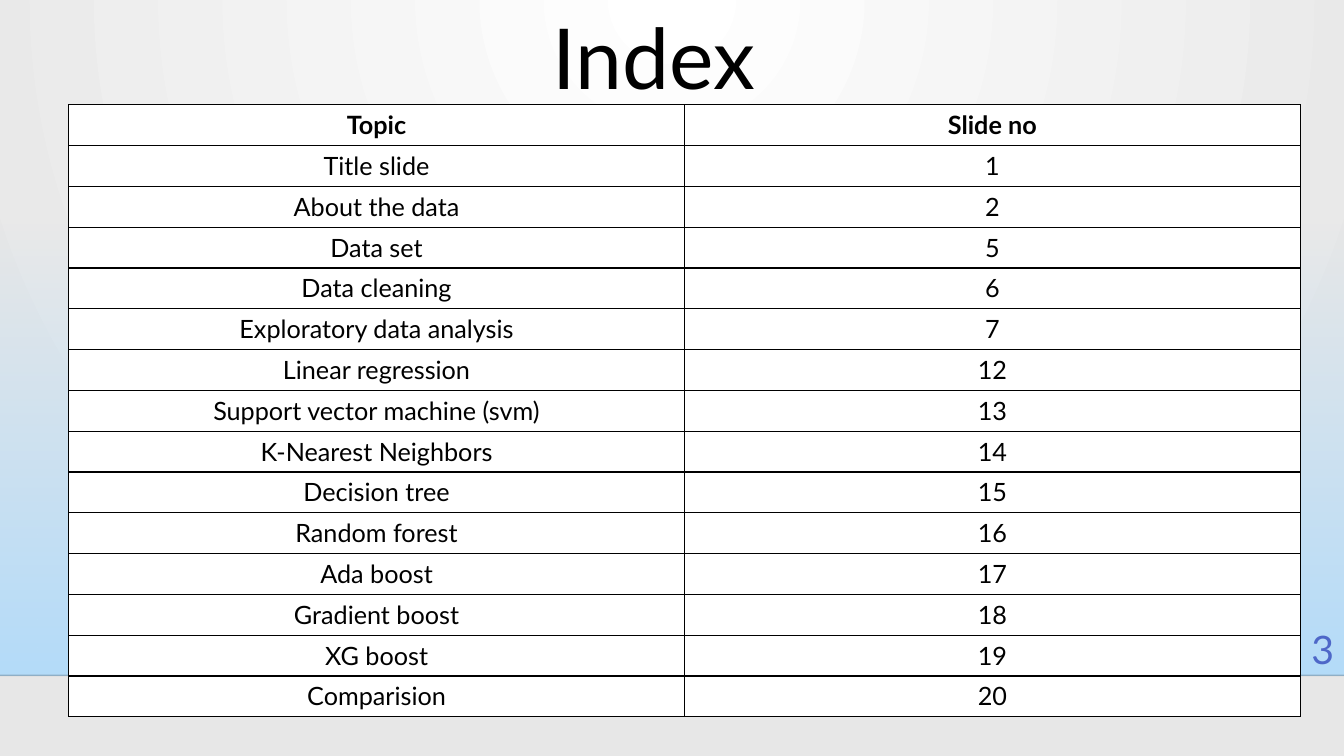
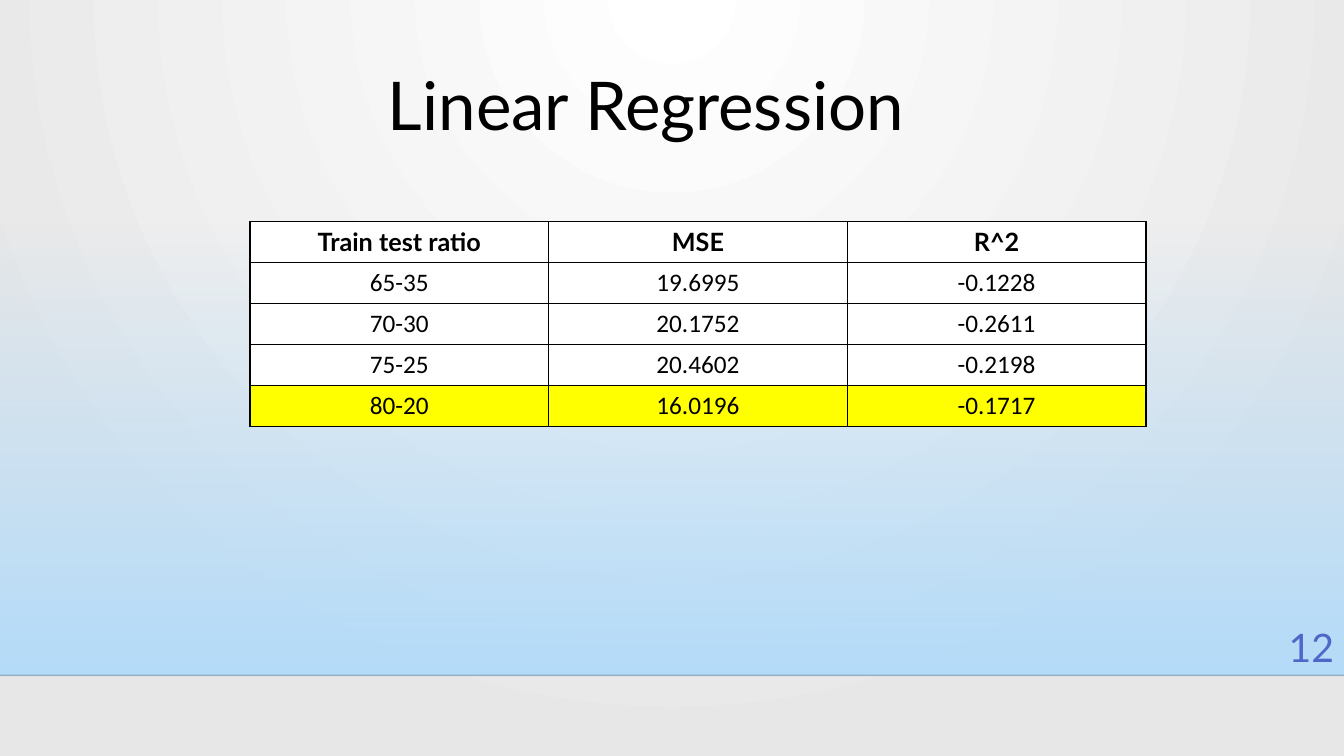
import dataclasses

import pptx
import pptx.dml.color
import pptx.enum.shapes
import pptx.enum.text
import pptx.oxml.ns
import pptx.util
from lxml import etree

Cm = pptx.util.Cm
Pt = pptx.util.Pt
qn = pptx.oxml.ns.qn
Align = pptx.enum.text.PP_ALIGN


@dataclasses.dataclass(frozen=True)
class Theme:
    ink: str = "000000"
    paper: str = "FFFFFF"
    mist: str = "E7E7E7"
    sky: str = "B4DCFA"
    edge: str = "000001"
    mark: str = "FFFF00"
    number: str = "4E67C8"
    font: str = "Lato"
    plain: str = "Calibri"
    body: int = 18
    page: int = 28
    head: int = 48
    large: int = 60
    rule: int = 1


def rgb(code):
    return pptx.dml.color.RGBColor.from_string(code)


def node(home, tag, **traits):
    return etree.SubElement(home, qn(tag), traits)


def blend(home, old, stops):
    fill = home.makeelement(qn("a:gradFill"), {"rotWithShape": "1"})
    home.replace(old, fill)
    row = node(fill, "a:gsLst")
    for place, code, alpha in stops:
        stop = node(row, "a:gs", pos=str(place * 1000))
        tint = node(stop, "a:srgbClr", val=code)
        node(tint, "a:alpha", val=str(alpha * 1000))
    return fill


class Deck:
    def __init__(self, theme):
        self.theme = theme
        self.show = pptx.Presentation()
        self.show.slide_width = Cm(33.87)
        self.show.slide_height = Cm(19.05)
        self.slide = None
        self.back()

    def back(self):
        master = self.show.slide_master
        master.background.fill.solid()
        props = master.element.find(".//" + qn("p:bgPr"))
        stops = [(0, self.theme.paper, 100), (100, self.theme.mist, 100)]
        fill = blend(props, props[0], stops)
        ring = node(fill, "a:path", path="circle")
        node(ring, "a:fillToRect", l="43000", t="0", r="43000", b="100000")

    def start(self):
        self.slide = self.show.slides.add_slide(self.show.slide_layouts[5])
        self.band()
        self.line()

    def band(self):
        kind = pptx.enum.shapes.MSO_SHAPE.RECTANGLE
        band = self.slide.shapes.add_shape(
            kind, 0, Cm(5.61), self.show.slide_width, Cm(11.41))
        band.shadow.inherit = False
        band.line.fill.background()
        band.fill.background()
        props = band.element.spPr
        stops = [(0, self.theme.sky, 0), (100, self.theme.sky, 100)]
        fill = blend(props, props.find(qn("a:noFill")), stops)
        node(fill, "a:lin", ang="5400000", scaled="0")

    def line(self):
        kind = pptx.enum.shapes.MSO_CONNECTOR.STRAIGHT
        line = self.slide.shapes.add_connector(
            kind, 0, Cm(17.02), self.show.slide_width, Cm(17.02))
        line.line.width = Pt(self.theme.rule)
        line.line.color.rgb = rgb(self.theme.edge)
        props = line.element.spPr
        node(props.find(".//" + qn("a:srgbClr")), "a:alpha", val="20000")
        node(props, "a:effectLst")

    def text(self, frame, words, size, color, align, font=None, bold=False):
        para = frame.paragraphs[0]
        para.alignment = align
        run = para.add_run()
        run.text = words
        run.font.name = font or self.theme.font
        run.font.size = Pt(size)
        run.font.bold = bold
        run.font.color.rgb = rgb(color)

    def title(self, words, top, width, height, size):
        title = self.slide.shapes.title
        title.left, title.top = 0, Cm(top)
        title.width, title.height = Cm(width), Cm(height)
        frame = title.text_frame
        frame.auto_size = pptx.enum.text.MSO_AUTO_SIZE.NONE
        frame.vertical_anchor = pptx.enum.text.MSO_ANCHOR.TOP
        self.text(frame, words, size, self.theme.ink, Align.CENTER)

    def page(self, words, top):
        box = self.slide.shapes.add_textbox(
            Cm(31.61), Cm(top), Cm(2.26), Cm(1.4))
        box.text_frame.word_wrap = True
        self.text(box.text_frame, words, self.theme.page,
                  self.theme.number, Align.RIGHT)

    def frame(self, cell):
        props = cell._tc.get_or_add_tcPr()
        for side in ("a:lnL", "a:lnR", "a:lnT", "a:lnB"):
            edge = node(props, side, w=str(Pt(self.theme.rule)))
            node(node(edge, "a:solidFill"), "a:srgbClr", val=self.theme.ink)

    def table(self, rows, left, top, width, height, font=None, marked=None):
        table = self.slide.shapes.add_table(
            len(rows), len(rows[0]), Cm(left), Cm(top),
            Cm(width), Cm(height)).table
        table.first_row = table.horz_banding = False
        for i, row in enumerate(rows):
            first = i == 0
            fill = self.theme.mark if i == marked else self.theme.paper
            for j, words in enumerate(row):
                cell = table.cell(i, j)
                self.frame(cell)
                cell.fill.solid()
                cell.fill.fore_color.rgb = rgb(fill)
                self.text(cell.text_frame, words, self.theme.body,
                          self.theme.ink, Align.CENTER,
                          None if first else font, first)


TOPICS = [
    ("Topic", "Slide no"),
    ("Title slide", "1"),
    ("About the data", "2"),
    ("Data set", "5"),
    ("Data cleaning", "6"),
    ("Exploratory data analysis", "7"),
    ("Linear regression", "12"),
    ("Support vector machine (svm)", "13"),
    ("K-Nearest Neighbors", "14"),
    ("Decision tree", "15"),
    ("Random forest", "16"),
    ("Ada boost", "17"),
    ("Gradient boost", "18"),
    ("XG boost", "19"),
    ("Comparision", "20"),
]

SCORES = [
    ("Train test ratio", "MSE", "R^2"),
    ("65-35", "19.6995", "-0.1228"),
    ("70-30", "20.1752", "-0.2611"),
    ("75-25", "20.4602", "-0.2198"),
    ("80-20", "16.0196", "-0.1717"),
]


def main():
    theme = Theme()
    deck = Deck(theme)

    deck.start()
    deck.page("3", 15.62)
    deck.title("Index", 0, 32.95, 2.82, theme.large)
    deck.table(TOPICS, 1.73, 2.64, 31.04, 15.42)

    deck.start()
    deck.title("Linear Regression", 1.47, 32.56, 2.31, theme.head)
    deck.table(SCORES, 6.3, 5.59, 22.58, 5.15, theme.plain, marked=4)
    deck.page("12", 15.57)

    deck.show.save("out.pptx")


if __name__ == "__main__":
    main()
